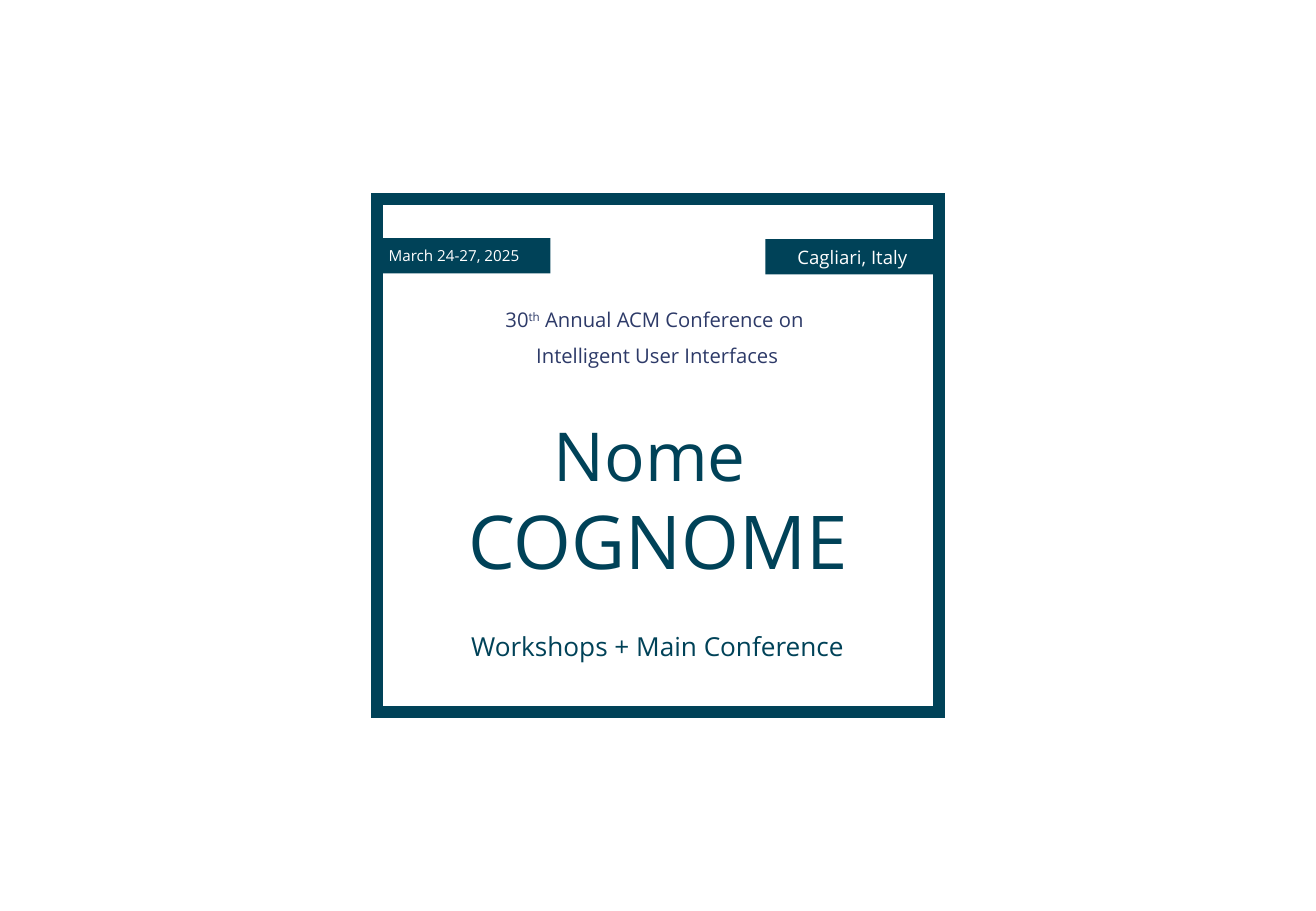
"""Builds the conference name badge slide."""
from lxml import etree
from pptx import Presentation
from pptx.dml.color import RGBColor
from pptx.enum.shapes import MSO_SHAPE
from pptx.enum.text import MSO_ANCHOR, MSO_AUTO_SIZE, PP_ALIGN
from pptx.oxml.ns import qn
from pptx.util import Pt

RECTANGLE = MSO_SHAPE.RECTANGLE
LEFT, CENTER = PP_ALIGN.LEFT, PP_ALIGN.CENTER
FONT = "Open Sans"
TEAL, NAVY, WHITE = "004258", "2D3A68", "FFFFFF"

SLIDE_SIZE = (779.76, 540)
FRAME = (223.2, 118.1, 333.4, 303.8)
FRAME_LINE = 7
BAND_SIZE = (103, 20.9)

TEXTS = [
    ((249.8, 241.9, 280.8, 103), TEAL, 1, [[("Nome ", 40)], [("COGNOME", 44)]]),
    ((256.3, 370.1, 266.4, 24.5), TEAL, 1, [[("Workshops + Main Conference", 15.5)]]),
    ((278.6, 171.4, 221.8, 45.4), NAVY, 1.5, [
        [("30", 12), ("th", 12), (" Annual ACM Conference on ", 12)],
        [("Intelligent User Interfaces", 12)],
    ]),
]
SUPERSCRIPTS = ("th",)
BANDS = [
    ("March 24-27, 2025", 9, LEFT, FRAME[0], 141.1),
    ("Cagliari, Italy", 11, CENTER, FRAME[0] + FRAME[2] - BAND_SIZE[0], 141.8),
]


def color(value):
    return RGBColor.from_string(value)


def fill_paragraph(paragraph, runs, text_color, alignment, spacing=1):
    paragraph.alignment = alignment
    paragraph.line_spacing = spacing
    for text, size in runs:
        run = paragraph.add_run()
        run.text = text
        run.font.name = FONT
        run.font.size = Pt(size)
        run.font.color.rgb = color(text_color)
        if text in SUPERSCRIPTS:
            run.font._element.set("baseline", "30000")


def add_text(slide, box, text_color, spacing, lines):
    frame = slide.shapes.add_textbox(*map(Pt, box)).text_frame
    frame.word_wrap = False
    frame.auto_size = MSO_AUTO_SIZE.SHAPE_TO_FIT_TEXT
    for index, runs in enumerate(lines):
        paragraph = frame.add_paragraph() if index else frame.paragraphs[0]
        fill_paragraph(paragraph, runs, text_color, CENTER, spacing)


def add_rectangle(slide, box):
    shape = slide.shapes.add_shape(RECTANGLE, *map(Pt, box))
    shape.shadow.inherit = False
    return shape


def add_frame(slide):
    shape = add_rectangle(slide, FRAME)
    shape.fill.background()
    shape.line.color.rgb = color(TEAL)
    shape.line.width = Pt(FRAME_LINE)
    outline = shape.line._get_or_add_ln()
    etree.SubElement(outline, qn("a:miter")).set("lim", "800000")


def add_band(slide, text, size, alignment, left, top):
    shape = add_rectangle(slide, (left, top, *BAND_SIZE))
    shape.fill.solid()
    shape.fill.fore_color.rgb = color(TEAL)
    shape.line.fill.background()
    frame = shape.text_frame
    frame.word_wrap = True
    frame.vertical_anchor = MSO_ANCHOR.MIDDLE
    fill_paragraph(frame.paragraphs[0], [(text, size)], WHITE, alignment)


def main():
    presentation = Presentation()
    presentation.slide_width, presentation.slide_height = map(Pt, SLIDE_SIZE)
    slide = presentation.slides.add_slide(presentation.slide_layouts[6])
    slide.background.fill.solid()
    slide.background.fill.fore_color.rgb = color(WHITE)
    for text in TEXTS:
        add_text(slide, *text)
    add_frame(slide)
    for band in BANDS:
        add_band(slide, *band)
    presentation.save("out.pptx")


if __name__ == "__main__":
    main()
